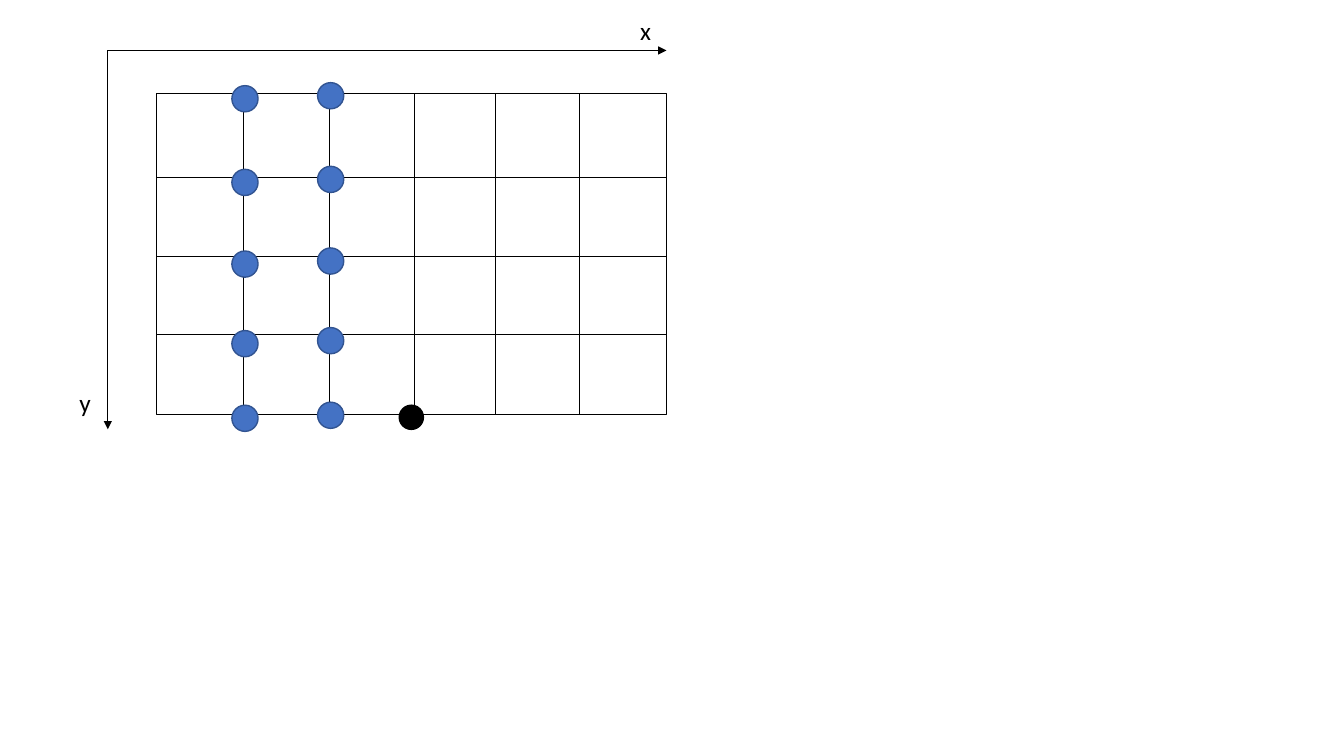
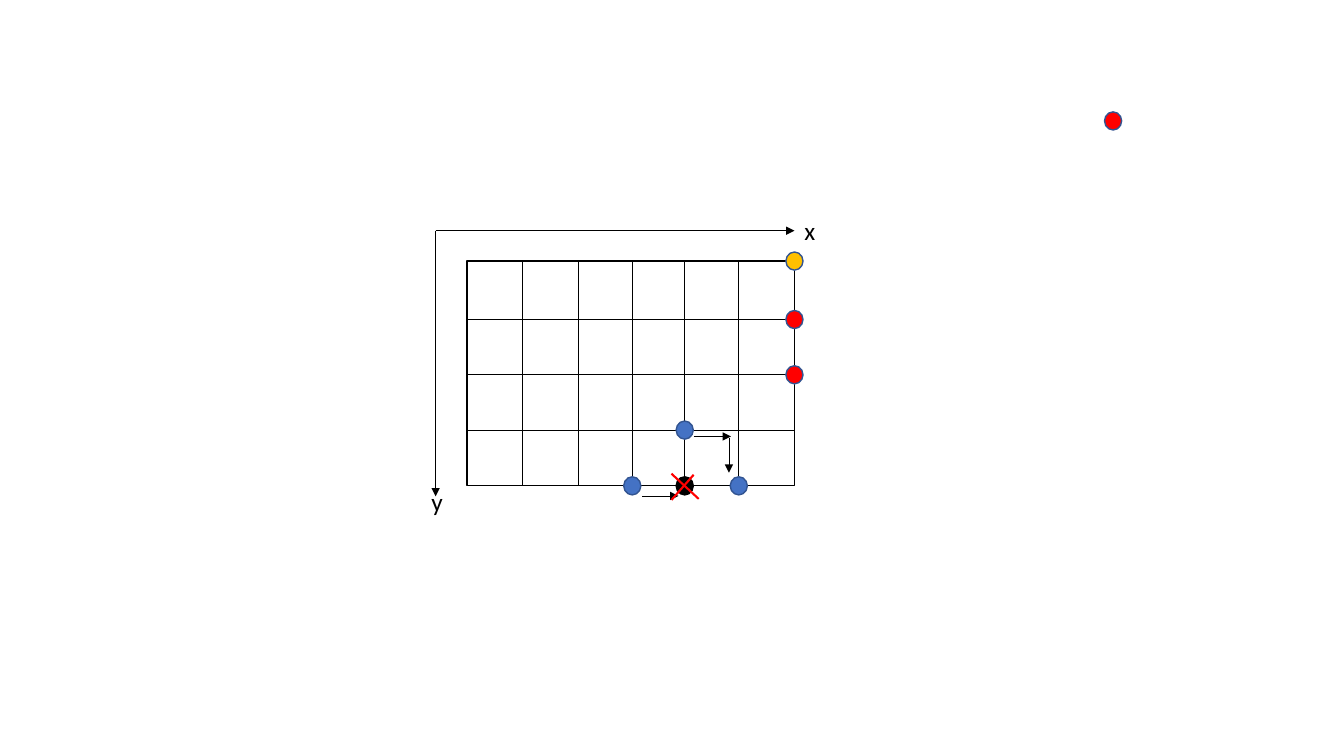
from dataclasses import dataclass

from pptx import Presentation
from pptx.dml.color import RGBColor
from pptx.enum import shapes as kinds
from pptx.oxml.ns import qn
from pptx.util import Inches, Pt
from lxml import etree

COLORS = {
    "ink": "000000",
    "paper": "FFFFFF",
    "blue": "4472C4",
    "rim": "325491",
    "amber": "FFC000",
    "red": "FF0000",
}
LABEL_FONT = {"name": "Calibri", "size": Pt(18)}
COLUMNS = (0, 0.17, 0.34, 0.505, 0.665, 0.83, 1)
ROWS = (0, 0.26, 0.506, 0.752, 1)


@dataclass
class Grid:
    """Box of a grid in inches, with its nodes."""

    left: float
    top: float
    width: float
    height: float

    def node(self, column, row):
        """Return the crossing of a column line and a row line."""
        return (self.left + self.width * COLUMNS[column],
                self.top + self.height * ROWS[row])

    def shift(self, dx, dy):
        """Return the point at an offset from the top left corner."""
        return self.left + dx, self.top + dy


def color(name):
    """Return a palette colour."""
    return RGBColor.from_string(COLORS[name])


def add_line(shapes, start, end, ink="ink", weight=0.5, arrow=False):
    """Draw a straight line, with an arrowhead if asked."""
    line = shapes.add_connector(
        kinds.MSO_CONNECTOR.STRAIGHT, *map(Inches, (*start, *end)))
    line.line.color.rgb = color(ink)
    line.line.width = Pt(weight)
    if arrow:
        etree.SubElement(line.line._get_or_add_ln(), qn("a:tailEnd"), type="triangle")
    etree.SubElement(line._element.spPr, qn("a:effectLst"))


def add_figure(shapes, preset, box, fill, rim):
    """Draw a preset shape with a thin outline."""
    figure = shapes.add_shape(preset, *map(Inches, box))
    figure.shadow.inherit = False
    if fill:
        figure.fill.solid()
        figure.fill.fore_color.rgb = color(fill)
    else:
        figure.fill.background()
    figure.line.color.rgb = color(rim)
    figure.line.width = Pt(1)


def add_dot(shapes, center, width, height, fill="blue"):
    """Draw a dot around its centre."""
    x, y = center
    rim = "ink" if fill == "ink" else "rim"
    box = (x - width / 2, y - height / 2, width, height)
    add_figure(shapes, kinds.MSO_SHAPE.OVAL, box, fill, rim)


def add_label(shapes, letter, corner, width=0.36, height=0.4):
    """Write the letter of an axis."""
    label = shapes.add_textbox(*map(Inches, (*corner, width, height)))
    label.text_frame.word_wrap = True
    run = label.text_frame.paragraphs[0].add_run()
    run.text = letter
    for key, value in LABEL_FONT.items():
        setattr(run.font, key, value)
    run.font.color.rgb = color("ink")


def draw_grid(shapes, grid, fill=None):
    """Draw the frame, its inner lines and the two axes."""
    frame = (grid.left, grid.top, grid.width, grid.height)
    add_figure(shapes, kinds.MSO_SHAPE.RECTANGLE, frame, fill, "ink")
    for row in range(1, len(ROWS) - 1):
        add_line(shapes, grid.node(0, row), grid.node(-1, row))
    for column in range(1, len(COLUMNS) - 1):
        add_line(shapes, grid.node(column, 0), grid.node(column, -1))
    origin = grid.shift(-0.095 * grid.width, -0.135 * grid.height)
    y_tip = origin[0], grid.top + 1.047 * grid.height
    x_tip = grid.left + grid.width, origin[1]
    for tip in (y_tip, x_tip):
        add_line(shapes, origin, tip, arrow=True)


def build_start_slide(slide, grid):
    """Show two columns of blue dots and the black target."""
    shapes = slide.shapes
    draw_grid(shapes, grid, "paper")
    for dx, drop in ((1.73, 0), (0.88, 0.03)):
        column = shapes.add_group_shape().shapes
        for dy in (0.02, 0.85, 1.66, 2.45, 3.19):
            add_dot(column, grid.shift(dx, dy + drop), 0.26, 0.26)
    add_dot(shapes, grid.shift(2.53, 3.21), 0.24, 0.24, "ink")
    add_label(shapes, "y", grid.shift(-0.86, 2.86))
    add_label(shapes, "x", grid.shift(4.7, -0.83))


def build_moves_slide(slide, grid):
    """Show the moves around the crossed-out black dot."""
    shapes = slide.shapes
    draw_grid(shapes, grid)
    dots = (
        (3, 4, "blue"), (4, 3, "blue"), (5, 4, "blue"), (4, 4, "ink"),
        (6, 0, "amber"), (6, 1, "red"), (6, 2, "red"),
    )
    for column, row, fill in dots:
        add_dot(shapes, grid.node(column, row), 0.17, 0.18, fill)
    add_dot(shapes, grid.shift(6.41, -1.39), 0.17, 0.18, "red")
    moves = (
        ((2.25, 1.74), (2.62, 1.74)),
        ((2.6, 1.76), (2.6, 2.1)),
        ((1.74, 2.33), (2.1, 2.33)),
    )
    for start, end in moves:
        add_line(shapes, grid.shift(*start), grid.shift(*end), arrow=True)
    cross = shapes.add_group_shape().shapes
    for start, end in (((2.03, 2.37), (2.25, 2.12)), ((2.3, 2.36), (2.03, 2.11))):
        add_line(cross, grid.shift(*start), grid.shift(*end), "red", 1.5)
    add_label(shapes, "y", grid.shift(-0.45, 2.19), 0.23, 0.28)
    add_label(shapes, "x", grid.shift(3.25, -0.5))


def main():
    """Build and save the presentation."""
    deck = Presentation()
    deck.slide_width, deck.slide_height = Inches(13.33), Inches(7.5)
    blank = deck.slide_layouts[6]
    build_start_slide(deck.slides.add_slide(blank), Grid(1.55, 0.93, 5.06, 3.18))
    build_moves_slide(deck.slides.add_slide(blank), Grid(4.63, 2.59, 3.25, 2.23))
    deck.save("out.pptx")


if __name__ == "__main__":
    main()
